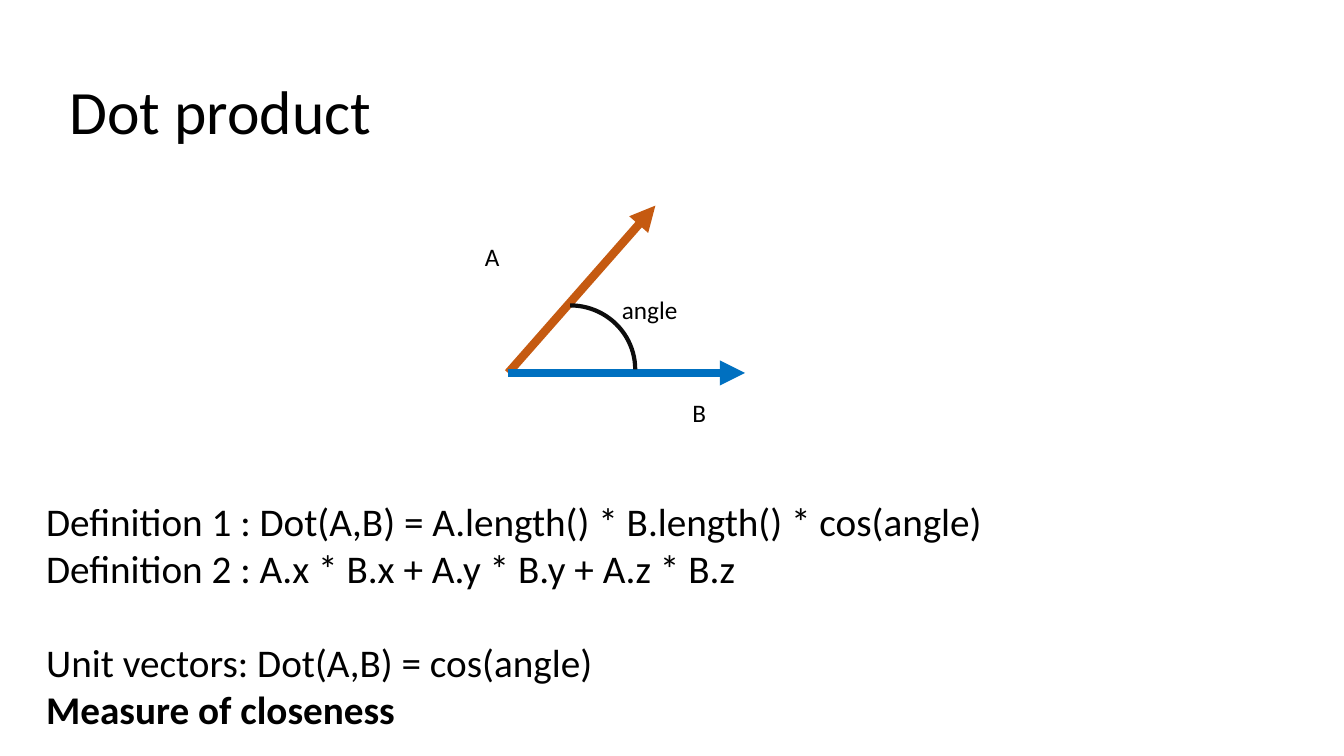
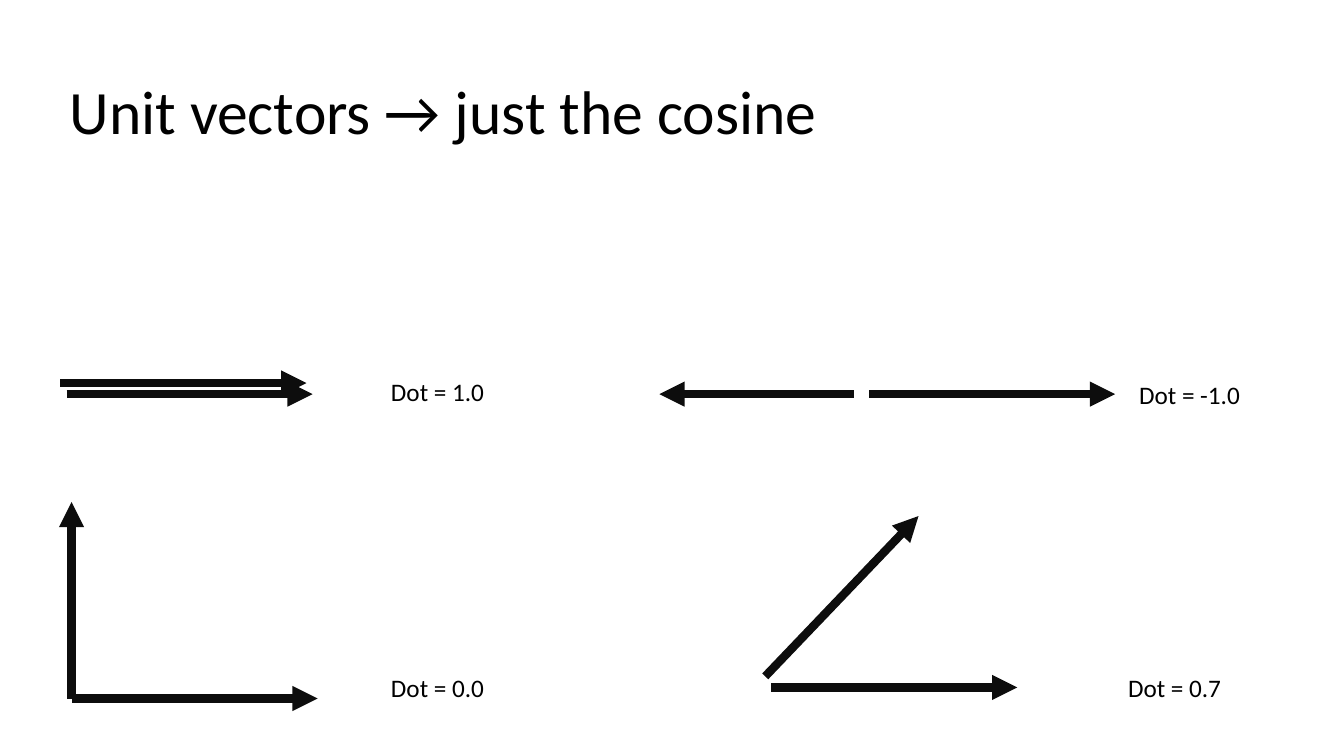
"""Builds two slides on the dot product of vectors."""
from dataclasses import dataclass
from typing import Any

from lxml import etree
from pptx import Presentation
from pptx.dml.color import RGBColor
from pptx.enum import shapes, text
from pptx.oxml import ns
from pptx.util import Inches, Pt

BLACK = RGBColor(0x00, 0x00, 0x00)
INK = RGBColor(0x0D, 0x0D, 0x0D)
RUST = RGBColor(0xC5, 0x5A, 0x11)
BLUE = RGBColor(0x00, 0x70, 0xC0)

FONT = {"name": "Calibri"}
HEAD = {**FONT, "size": Pt(44)}
BODY = {**FONT, "size": Pt(28)}
NOTE = {**FONT, "size": Pt(18)}
FIT = {"auto_size": text.MSO_AUTO_SIZE.SHAPE_TO_FIT_TEXT}
TITLE = {
    "vertical_anchor": text.MSO_ANCHOR.MIDDLE,
    "auto_size": text.MSO_AUTO_SIZE.NONE,
    "word_wrap": True,
}
LEAD = {"alignment": text.PP_ALIGN.LEFT, "line_spacing": 0.9}
GAP = Pt(34)


@dataclass(frozen=True)
class Arrow:
    x: float
    y: float
    dx: float
    dy: float = 0
    color: RGBColor = INK


@dataclass(frozen=True)
class Label:
    words: str
    x: float
    y: float
    width: float = 1.14


@dataclass(frozen=True)
class Line:
    words: str
    bold: bool = False
    before: int = 0


LINES = (
    Line("Definition 1 : Dot(A,B) = A.length() * B.length() * cos(angle)"),
    Line("Definition 2 : A.x * B.x + A.y * B.y + A.z * B.z"),
    Line("Unit vectors: Dot(A,B) = cos(angle)", before=GAP),
    Line("Measure of closeness", bold=True),
)
ANGLE = (Arrow(5.04, 3.7, 1.46, -1.66, RUST), Arrow(5.04, 3.7, 2.35, color=BLUE))
NAMES = (
    Label("A", 4.71, 2.34, 0.35),
    Label("B", 6.77, 3.89, 0.34),
    Label("angle", 6.07, 2.87, 0.76),
)
UNIT = 2.44
PAIRS = (
    Arrow(0.6, 3.8, UNIT),
    Arrow(0.66, 3.91, UNIT),
    Arrow(8.62, 3.91, UNIT),
    Arrow(8.47, 3.91, -1.93),
    Arrow(0.71, 6.93, 0, -1.95),
    Arrow(0.71, 6.93, UNIT),
    Arrow(7.59, 6.71, 1.52, -1.59),
    Arrow(7.65, 6.82, UNIT),
)
DOTS = (
    Label("Dot = 1.0", 3.78, 3.68),
    Label("Dot = 0.0", 3.78, 6.62),
    Label("Dot = -1.0", 11.2, 3.71, 1.21),
    Label("Dot = 0.7", 11.09, 6.62),
)


def apply(item: Any, values: dict[str, Any]) -> None:
    """Set each named value on an item."""
    for key, value in values.items():
        setattr(item, key, value)


def paint(font: Any, values: dict[str, Any]) -> None:
    """Format a font in black."""
    apply(font, values)
    font.color.rgb = BLACK


def start(deck: Any, words: str) -> Any:
    """Add a slide with its title."""
    slide = deck.slides.add_slide(deck.slide_layouts[5])
    title = slide.shapes.title
    apply(title, {"left": Inches(0.59), "top": Inches(0.41),
                  "width": Inches(13.26), "height": Inches(1.45)})
    frame = title.text_frame
    frame.text = words
    apply(frame, TITLE)
    para = frame.paragraphs[0]
    apply(para, LEAD)
    paint(para.font, HEAD)
    return slide


def point(slide: Any, arrow: Arrow) -> None:
    """Draw a thick arrow."""
    line = slide.shapes.add_connector(
        shapes.MSO_CONNECTOR.STRAIGHT, Inches(arrow.x), Inches(arrow.y),
        Inches(arrow.x + arrow.dx), Inches(arrow.y + arrow.dy))
    line.line.color.rgb = arrow.color
    line.line.width = Pt(6)
    tail = etree.SubElement(line.line._get_or_add_ln(), ns.qn("a:tailEnd"))
    tail.set("type", "triangle")
    etree.SubElement(line._element.spPr, ns.qn("a:effectLst"))


def tag(slide: Any, label: Label) -> None:
    """Write a short label."""
    box = slide.shapes.add_textbox(
        Inches(label.x), Inches(label.y), Inches(label.width), Inches(0.4))
    frame = box.text_frame
    frame.text = label.words
    apply(frame, {**FIT, "word_wrap": False})
    paint(frame.paragraphs[0].font, NOTE)


def bend(slide: Any) -> None:
    """Draw the arc between the two vectors."""
    arc = slide.shapes.add_shape(
        shapes.MSO_SHAPE.ARC, Inches(5.01), Inches(3.03), Inches(1.29), Inches(1.27))
    arc.shadow.inherit = False
    arc.fill.background()
    arc.line.color.rgb = INK
    arc.line.width = Pt(3)


def define(slide: Any) -> None:
    """Write the definitions."""
    box = slide.shapes.add_textbox(
        Inches(0.36), Inches(4.88), Inches(12.62), Inches(2.46))
    frame = box.text_frame
    frame.text = "\n".join(line.words for line in LINES)
    apply(frame, {**FIT, "word_wrap": True})
    for para, line in zip(frame.paragraphs, LINES):
        if line.before:
            para.space_before = line.before
        paint(para.font, {**BODY, "bold": line.bold})


def draw(slide: Any, arrows: tuple[Arrow, ...], labels: tuple[Label, ...]) -> None:
    """Draw arrows and their labels."""
    for arrow in arrows:
        point(slide, arrow)
    for label in labels:
        tag(slide, label)


def main() -> None:
    """Build and save the deck."""
    deck = Presentation()
    apply(deck, {"slide_width": Inches(13.33), "slide_height": Inches(7.5)})
    slide = start(deck, "Dot product")
    define(slide)
    draw(slide, ANGLE, NAMES)
    bend(slide)
    slide = start(deck, "Unit vectors → just the cosine")
    draw(slide, PAIRS, DOTS)
    deck.save("out.pptx")


if __name__ == "__main__":
    main()
